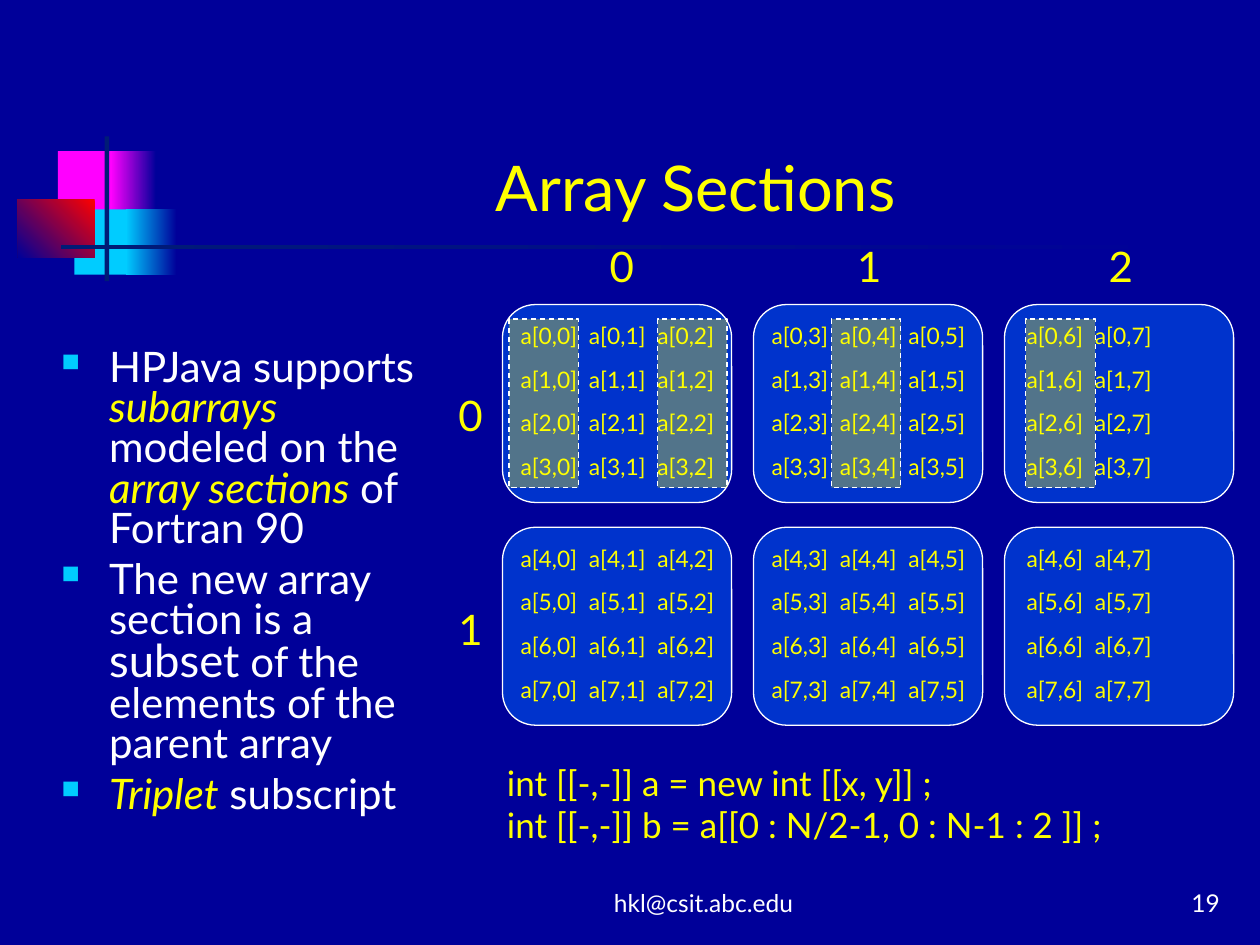
from lxml.etree import SubElement as Sub
from pptx import Presentation
from pptx.dml.color import RGBColor as RGB
from pptx.enum.dml import MSO_LINE as Dash
from pptx.enum.shapes import MSO_SHAPE as Kind
from pptx.enum.text import MSO_ANCHOR as Anchor, PP_ALIGN as Align
from pptx.oxml.ns import qn
from pptx.util import Cm, Pt

FONT = "Lato"
HUE = {"navy": "000099", "pink": "FF00FF", "cyan": "00CCFF", "red": "FF0000",
       "rule": "001C76", "block": "0033CC", "yellow": "FFFF00", "white": "FFFFFF"}


def add_box(x, y, w, h, fill, kind=Kind.RECTANGLE):
    box = slide.shapes.add_shape(kind, Cm(x), Cm(y), Cm(w), Cm(h))
    box.shadow.inherit = False
    box.line.fill.background()
    box.fill.solid()
    box.fill.fore_color.rgb = RGB.from_string(HUE[fill])
    return box


def write(frame, lines, size, hue="yellow", align=Align.LEFT, anchor=Anchor.TOP):
    """Fill a frame with lines; each line is a list of (text, changes) runs."""
    frame.word_wrap = True
    frame.vertical_anchor = anchor
    for i, line in enumerate(lines):
        para = frame.add_paragraph() if i else frame.paragraphs[0]
        para.alignment = align
        for text, diff in line:
            run = para.add_run()
            run.text = text
            font = run.font
            font.name = FONT
            font.size = Pt(diff.get("size", size))
            font.italic = diff.get("italic", False)
            font.color.rgb = RGB.from_string(HUE[diff.get("hue", hue)])


deck = Presentation()
deck.slide_width, deck.slide_height = Cm(25.4), Cm(19.05)
slide = deck.slides.add_slide(deck.slide_layouts[6])
back = slide.background.fill
back.solid()
back.fore_color.rgb = RGB.from_string(HUE["navy"])

# Corner ornament: place, first colour, second colour, gradient angle
for place, start, end, turn in [
    ((1.17, 3.05, 1.22, 1.32), "pink", None, 0),
    ((2.24, 3.05, 0.91, 1.32), "navy", "pink", 180),
    ((1.5, 4.22, 1.17, 1.32), "cyan", None, 0),
    ((2.54, 4.22, 1.02, 1.32), "navy", "cyan", 180),
    ((0.36, 4.02, 1.55, 1.17), "red", "navy", 225),
    ((2.11, 2.75, 0.09, 2.92), "rule", None, 0),
    ((1.23, 4.94, 22.86, 0.09), "navy", "rule", 180),
]:
    box = add_box(*place, start)
    if end:
        box.fill.gradient()
        box.fill.gradient_angle = turn
        for stop, hue in zip(box.fill.gradient_stops, (start, end)):
            stop.color.rgb = RGB.from_string(HUE[hue])

# Block grid
LEFT, TOP, WIDE, HIGH = 10.13, 6.14, 4.62, 3.99
STEP_X, STEP_Y, TAB = 5.06, 4.49, 1.38

# Plain texts: place, lines, size, colour, alignment, anchor
labels = [
    ((3.2, 0.58, 21.64, 4.06), ["Array Sections"], 36, "yellow", Align.CENTER, Anchor.BOTTOM),
    ((9.97, 15.23, 14.4, 1.96),
     ["int [[-,-]] a = new int [[x, y]] ;",
      "int [[-,-]] b = a[[0 : N/2-1, 0 : N-1 : 2 ]] ;"],
     20, "yellow", Align.LEFT, Anchor.TOP),
    ((10.16, 17.34, 8.05, 1.27), ["hkl@csit.abc.edu"], 14, "white", Align.CENTER, Anchor.BOTTOM),
    ((19.56, 17.34, 5.28, 1.27), ["19"], 14, "white", Align.RIGHT, Anchor.BOTTOM),
]
heads = [(x, 4.72, i) for i, x in enumerate((12.04, 17.03, 22.1))]
heads += [(8.99, y, i) for i, y in enumerate((7.72, 12.04))]
labels += [((x, y, 0.84, 1.27), [str(i)], 24, "yellow", Align.CENTER, Anchor.TOP)
           for x, y, i in heads]
for place, lines, *look in labels:
    frame = slide.shapes.add_textbox(*map(Cm, place)).text_frame
    write(frame, [[(line, {})] for line in lines], *look)

# Bulleted text
key = {"hue": "yellow", "italic": True}
points = [
    [("HPJava supports ", {}), ("subarrays", key), (" modeled on the ", {}),
     ("array sections", key), (" of Fortran 90", {})],
    [("The new array section is a ", {}), ("subset", {"size": 26}),
     (" of the elements of the parent array", {})],
    [("Triplet", key), (" subscript", {})],
]
body = slide.shapes.add_textbox(Cm(0.99), Cm(6.93), Cm(8), Cm(10.59)).text_frame
write(body, points, 24, "white")
for para in body.paragraphs:
    para.line_spacing = 0.8
    para.space_before = Pt(6)
    props = para._p.get_or_add_pPr()
    props.set("marL", str(Cm(0.96)))
    props.set("indent", str(Cm(-0.96)))
    Sub(Sub(props, qn("a:buClr")), qn("a:srgbClr"), val=HUE["cyan"])
    Sub(props, qn("a:buSzPct"), val="60000")
    Sub(props, qn("a:buChar"), char="■")

# Blocks of the 8 by 8 array, three columns to a block
for col in range(3):
    for row in range(2):
        block = add_box(LEFT + STEP_X * col, TOP + STEP_Y * row, WIDE, HIGH,
                        "block", Kind.ROUNDED_RECTANGLE)
        block.line.color.rgb = RGB.from_string(HUE["white"])
        block.line.width = Pt(0.75)
        frame = block.text_frame
        span = range(3 * col, min(3 * col + 3, 8))
        lines = ["\t".join(f"a[{i},{j}]" for j in span)
                 for i in range(4 * row, 4 * row + 4)]
        write(frame, [[(line, {})] for line in lines], 13, anchor=Anchor.MIDDLE)
        frame.margin_left = Cm(0.25 if col == 2 else 0.17)
        frame.margin_right = 0
        for i, para in enumerate(frame.paragraphs):
            para.line_spacing = 0.8
            para.space_before = Pt(12.5 if i else 0)
            tabs = Sub(para._p.get_or_add_pPr(), qn("a:tabLst"))
            for n in (1, 2):
                Sub(tabs, qn("a:tab"), pos=str(Cm(TAB * n)), algn="l")

# Selected columns
for x in (10.26, 20.68, 16.76, 13.26):
    mark = add_box(x, 6.43, 1.4, 3.4, "yellow")
    tint = mark.fill._xPr.find(qn("a:solidFill"))[0]
    Sub(tint, qn("a:alpha"), val="32000")
    mark.line.color.rgb = RGB.from_string(HUE["white"])
    mark.line.width = Pt(0.75)
    mark.line.dash_style = Dash.DASH

deck.save("out.pptx")
